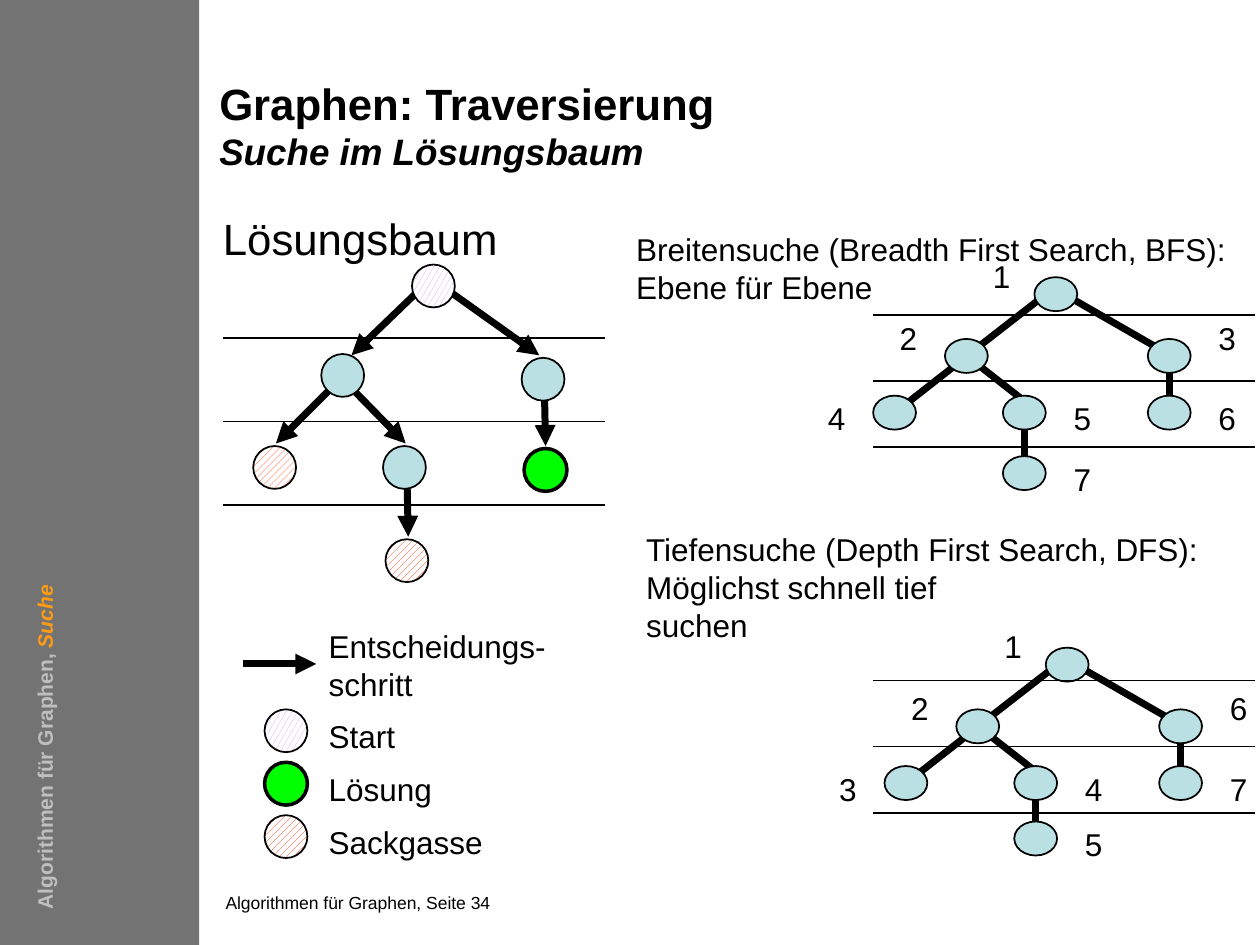
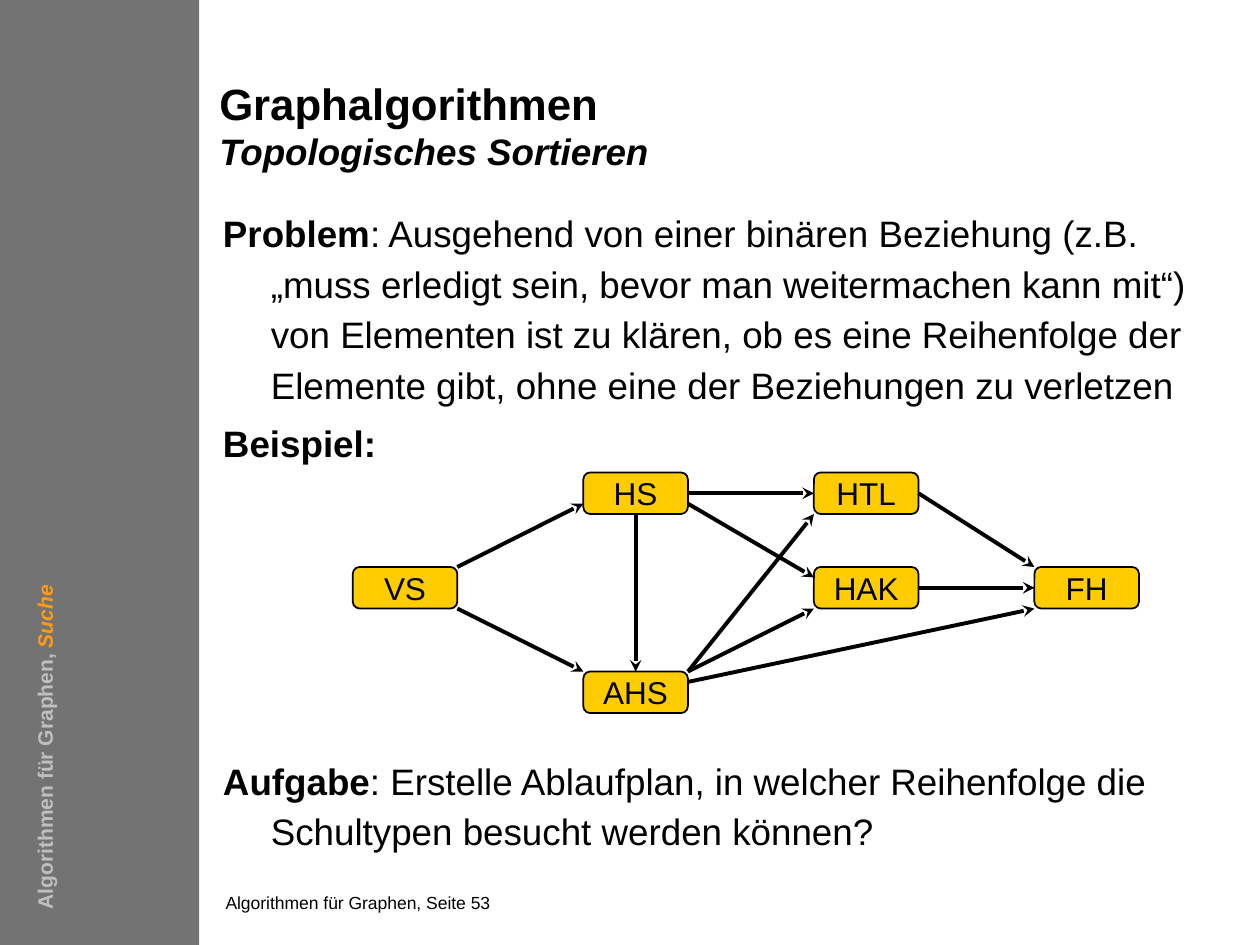
from lxml import etree
from pptx import Presentation
from pptx.dml.color import RGBColor
from pptx.enum.dml import MSO_PATTERN
from pptx.enum.shapes import MSO_CONNECTOR, MSO_SHAPE
from pptx.enum.text import MSO_ANCHOR, MSO_AUTO_SIZE, PP_ALIGN
from pptx.oxml.ns import qn
from pptx.util import Inches, Pt

BLACK = RGBColor(0, 0, 0)
WHITE = RGBColor(255, 255, 255)
GREY = RGBColor(0x73, 0x73, 0x73)
SILVER = RGBColor(0xBF, 0xBF, 0xBF)
ORANGE = RGBColor(0xFF, 0x9B, 0x14)
AQUA = RGBColor(0xBB, 0xE0, 0xE3)
GREEN = RGBColor(0, 255, 0)
RED = RGBColor(0xFF, 0x33, 0)
LILAC = RGBColor(0xCC, 0x99, 0xFF)
GOLD = RGBColor(0xFF, 0xCC, 0)
STRIPES = MSO_PATTERN.WIDE_UPWARD_DIAGONAL
SPECKS = MSO_PATTERN.LARGE_CONFETTI
RECT = MSO_SHAPE.RECTANGLE
ROUND = MSO_SHAPE.ROUNDED_RECTANGLE
OVAL = MSO_SHAPE.OVAL
STRAIGHT = MSO_CONNECTOR.STRAIGHT
TOP = MSO_ANCHOR.TOP
MIDDLE = MSO_ANCHOR.MIDDLE
LEFT = PP_ALIGN.LEFT
CENTER = PP_ALIGN.CENTER
NO_FIT = MSO_AUTO_SIZE.NONE


def write(shape, paras, align=LEFT, wrap=True, inset=True, anchor=TOP):
    frame = shape.text_frame
    frame.auto_size = NO_FIT
    frame.word_wrap = wrap
    frame.vertical_anchor = anchor
    frame.margin_left = frame.margin_right = Inches(0.1 if inset else 0)
    frame.margin_top = frame.margin_bottom = Inches(0.05 if inset else 0)
    for i, runs in enumerate(paras):
        para = frame.add_paragraph() if i else frame.paragraphs[0]
        para.alignment = align
        for text, size, color, bold, slant in runs:
            for j, part in enumerate(text.split("\n")):
                if j:
                    para.add_line_break()
                if part:
                    run = para.add_run()
                    run.text = part
                    font = run.font
                    font.name = "Arial"
                    font.size = Pt(size)
                    font.color.rgb = color
                    font.bold = bold
                    font.italic = slant
    return frame


def link(slide, ends, width, head=None):
    line = slide.shapes.add_connector(STRAIGHT, *[Inches(v) for v in ends])
    line.line.color.rgb = BLACK
    line.line.width = Pt(width)
    props = line._element.spPr
    if head:
        etree.SubElement(props.find(qn("a:ln")), qn("a:tailEnd"), type=head)
    etree.SubElement(props, qn("a:effectLst"))
    return line


deck = Presentation()
deck.slide_width = Inches(10)
deck.slide_height = Inches(7.5)

pages = []
for head, sub, page in [
    ("Graphen: Traversierung", "Suche im Lösungsbaum", 34),
    ("Graphalgorithmen", "Topologisches Sortieren", 53),
]:
    slide = deck.slides.add_slide(deck.slide_layouts[5])
    pages.append(slide)
    band = slide.shapes.add_shape(RECT, 0, 0, Inches(1.58), Inches(7.5))
    band.shadow.inherit = False
    band.fill.solid()
    band.fill.fore_color.rgb = GREY
    band.line.fill.background()

    title = slide.shapes.title
    title.left, title.top = Inches(1.74), Inches(0.67)
    title.width, title.height = Inches(5.1), Inches(0.75)
    frame = write(title, [[(head + "\n", 25, BLACK, True, False),
                           (sub, 21, BLACK, True, True)]], inset=False)
    frame.paragraphs[0].line_spacing = Pt(25.4)

    foot = slide.shapes.add_textbox(Inches(1.79), Inches(7.08), Inches(4.86), Inches(0.21))
    write(foot, [[(f"Algorithmen für Graphen, Seite {page}", 10, BLACK, False, False)]],
          inset=False)
    side = slide.shapes.add_textbox(Inches(-1.98), Inches(4.83), Inches(4.67), Inches(0.3))
    side.rotation = 270
    write(side, [[("Algorithmen für Graphen, ", 12, SILVER, True, False),
                  ("Suche", 12, ORANGE, True, True)]])

search, sort = pages

bodies = [
    (search, 0.55, [[("Lösungsbaum", 25, BLACK, False, False)]]),
    (sort, 5.36, [
        [("Problem", 21, BLACK, True, False),
         (": Ausgehend von einer binären Beziehung (z.B. „muss erledigt sein, bevor man "
          "weitermachen kann mit“) von Elementen ist zu klären, ob es eine Reihenfolge der "
          "Elemente gibt, ohne eine der Beziehungen zu verletzen", 21, BLACK, False, False)],
        [("Beispiel:", 21, BLACK, True, False)],
        [("Aufgabe", 21, BLACK, True, False),
         (": Erstelle Ablaufplan, in welcher Reihenfolge die Schultypen besucht werden "
          "können?", 21, BLACK, False, False)],
    ]),
]
for slide, high, paras in bodies:
    body = slide.shapes.add_textbox(Inches(1.77), Inches(1.62), Inches(8.07), Inches(high))
    frame = write(body, paras, inset=False)
    for para, gap in zip(frame.paragraphs, (0, 4.2, 164)):
        para.line_spacing = 1.15
        para.space_before = Pt(gap)
        props = para._p.get_or_add_pPr()
        props.set("marL", str(Inches(0.38)))
        props.set("indent", str(-Inches(0.38)))

for ends in [
    (3.33, 2.3, 2.79, 2.82), (3.48, 2.25, 4.28, 2.82), (2.65, 3.06, 2.19, 3.52),
    (2.77, 3.06, 3.22, 3.52), (4.32, 3.06, 4.33, 3.54), (3.23, 3.78, 3.24, 4.26),
    (1.93, 5.27, 2.51, 5.27),
]:
    link(search, ends, 4, "triangle")

dots = [
    (3.27, 2.1, 0.34, "start"), (2.55, 2.81, 0.34, "node"), (4.14, 2.84, 0.34, "node"),
    (2.01, 3.54, 0.34, "dead"), (3.04, 3.54, 0.34, "node"), (4.16, 3.56, 0.34, "goal"),
    (3.06, 4.28, 0.34, "dead"), (2.1, 5.63, 0.34, "start"), (2.1, 6.05, 0.34, "goal"),
    (2.1, 6.47, 0.34, "dead"),
]
notes = [
    (4.95, 1.78, 5.05, 0.7, ["Breitensuche (Breadth First Search, BFS):\nEbene für Ebene"], True),
    (5.03, 4.16, 4.7, 1, ["Tiefensuche (Depth First Search, DFS):",
                          "Möglichst schnell tief", "suchen"], True),
    (2.51, 4.93, 1.92, 0.7, ["Entscheidungs-\nschritt"], False),
    (2.51, 5.64, 0.73, 0.4, ["Start"], False),
    (2.51, 6.06, 1.02, 0.4, ["Lösung"], False),
    (2.51, 6.48, 1.42, 0.4, ["Sackgasse"], False),
]

down = (0.17, -0.27, 0.17, 0.18)
tree = [
    (1.28, 0, -0.43, None),
    (0.57, 1, -0.46, (0.77, -0.33, 0.23, 0.09)),
    (2.18, 1, 0.46, (-0.69, -0.37, 0.11, 0.09)),
    (0, 2, -0.46, (0.69, -0.27, 0.23, 0.09)),
    (1.03, 2, 0.46, (-0.23, -0.27, 0.23, 0.09)),
    (2.18, 2, 0.46, down),
    (1.03, 3, 0.46, down),
]
for left, rows, order in [
    (6.93, (2.2, 2.69, 3.14, 3.62), "1234567"),
    (7.02, (5.14, 5.63, 6.08, 6.52), "1263475"),
]:
    for (dx, row, side, edge), num in zip(tree, order):
        x, y = left + dx, rows[row]
        dots.append((x, y, 0.27, "node"))
        if edge:
            link(search, (x + edge[0], y + edge[1], x + edge[2], y + edge[3]), 4)
        lift = 0.21 if row < 2 else 0.02
        label = search.shapes.add_textbox(Inches(x + side), Inches(y - lift),
                                          Inches(0.34), Inches(0.4))
        write(label, [[(num, 18, BLACK, False, False)]], CENTER, False)

looks = {
    "node": (None, AQUA, 1),
    "goal": (None, GREEN, 2),
    "start": (SPECKS, LILAC, 1),
    "dead": (STRIPES, RED, 1),
}
for x, y, high, kind in dots:
    dot = search.shapes.add_shape(OVAL, Inches(x), Inches(y), Inches(0.34), Inches(high))
    dot.shadow.inherit = False
    hatch, color, width = looks[kind]
    if hatch:
        dot.fill.patterned()
        dot.fill.pattern = hatch
        dot.fill.back_color.rgb = WHITE
    else:
        dot.fill.solid()
    dot.fill.fore_color.rgb = color
    dot.line.color.rgb = BLACK
    dot.line.width = Pt(width)

for left, right, top, step in [(1.77, 4.8, 2.68, 0.665), (6.93, 9.96, 2.5, 0.525),
                               (6.93, 9.96, 5.4, 0.525)]:
    for i in range(3):
        y = top + i * step
        link(search, (left, y, right, y), 1)

for x, y, wide, high, lines, wrap in notes:
    note = search.shapes.add_textbox(Inches(x), Inches(y), Inches(wide), Inches(high))
    write(note, [[(line, 18, BLACK, False, False)] for line in lines], wrap=wrap)

WIDE, HIGH = 0.83, 0.33
spots = {"VS": (2.8, 4.5), "HS": (4.63, 3.75), "AHS": (4.63, 5.33),
         "HTL": (6.46, 3.75), "HAK": (6.46, 4.5), "FH": (8.21, 4.5)}
schools = {}
for name, (x, y) in spots.items():
    box = sort.shapes.add_shape(ROUND, Inches(x), Inches(y), Inches(WIDE), Inches(HIGH))
    box.shadow.inherit = False
    box.fill.solid()
    box.fill.fore_color.rgb = GOLD
    box.line.color.rgb = BLACK
    box.line.width = Pt(1)
    write(box, [[(name, 18, BLACK, False, False)]], CENTER, False, anchor=MIDDLE)
    schools[name] = box

sides = {(0.5, 0): 0, (0, 0.5): 1, (0.5, 1): 2, (1, 0.5): 3}
for a, out, b, into in [
    ("VS", (1, 0), "HS", (0, 0.75)),
    ("VS", (1, 1), "AHS", (0, 0)),
    ("HS", (1, 0.5), "HTL", (0, 0.5)),
    ("HS", (1, 0.75), "HAK", (0, 0.25)),
    ("AHS", (1, 0.25), "FH", (0, 1)),
    ("HAK", (1, 0.5), "FH", (0, 0.5)),
    ("HTL", (1, 0.5), "FH", (0, 0)),
    ("AHS", (1, 0), "HAK", (0, 1)),
    ("HS", (0.5, 1), "AHS", (0.5, 0)),
    ("AHS", (1, 0), "HTL", (0, 1)),
]:
    ends = [at + part * size for name, spot in ((a, out), (b, into))
            for at, part, size in zip(spots[name], spot, (WIDE, HIGH))]
    arrow = link(sort, ends, 2.25, "stealth")
    if out in sides:
        arrow.begin_connect(schools[a], sides[out])
    if into in sides:
        arrow.end_connect(schools[b], sides[into])

deck.save("out.pptx")
